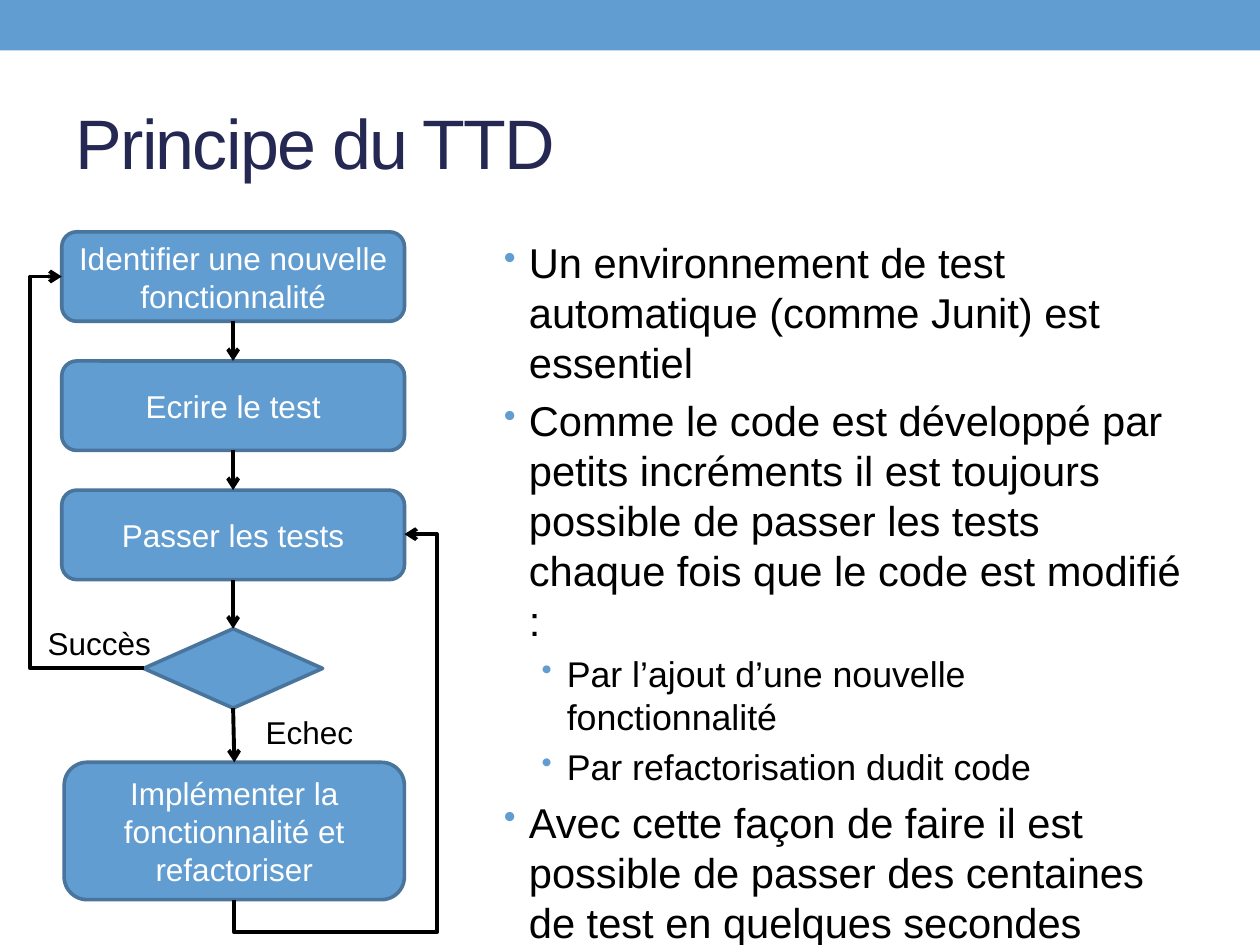
from pptx import Presentation, util as u
from pptx.dml.color import RGBColor
from pptx.enum import shapes as es, text as et
from pptx.oxml.ns import qn
from lxml import etree

BLUE, EDGE, NAVY, BLACK, WHITE = "629DD1", "49749B", "242852", "000000", "FFFFFF"
KIND = es.MSO_SHAPE
TOP, LEFT, BOTTOM, RIGHT = range(4)


def paint(fmt, tone):
    fmt.solid()
    fmt.fore_color.rgb = RGBColor.from_string(tone)


def tag(host, label, /, **attrs):
    return etree.SubElement(host, qn(label), attrs)


class Deck:
    """Draws styled elements on a slide with a grid of 100 columns by 75 rows."""

    font = "Arial"
    cell = 0.1

    def __init__(self):
        self.prs = Presentation()
        self.prs.slide_width, self.prs.slide_height = self.size(100, 75)
        self.slide = self.prs.slides.add_slide(self.prs.slide_layouts[5])
        self.shapes = self.slide.shapes

    def size(self, *cells):
        return [u.Inches(n * self.cell) for n in cells]

    def style(self, para, size, tone):
        for run in para.runs:
            run.font.name = self.font
            run.font.size = u.Pt(size)
            run.font.color.rgb = RGBColor.from_string(tone)

    def title(self, words, *box):
        head = self.shapes.title
        head.left, head.top, head.width, head.height = self.size(*box)
        frame = head.text_frame
        frame.text = words
        frame.vertical_anchor = et.MSO_ANCHOR.MIDDLE
        para = frame.paragraphs[0]
        para.alignment = et.PP_ALIGN.LEFT
        self.style(para, 40, NAVY)
        para.runs[0].font._element.set("spc", "-100")

    def block(self, kind, *box, words="", edge=EDGE):
        shape = self.shapes.add_shape(kind, *self.size(*box))
        shape.shadow.inherit = False
        paint(shape.fill, BLUE)
        if edge:
            paint(shape.line.fill, edge)
            shape.line.width = u.Pt(2.08)
        else:
            shape.line.fill.background()
        if words:
            frame = shape.text_frame
            frame.text = words
            frame.word_wrap = True
            frame.vertical_anchor = et.MSO_ANCHOR.MIDDLE
            frame.paragraphs[0].alignment = et.PP_ALIGN.CENTER
            self.style(frame.paragraphs[0], 18, WHITE)
        return shape

    def frame(self, *box):
        frame = self.shapes.add_textbox(*self.size(*box)).text_frame
        frame.word_wrap = True
        return frame

    def label(self, words, *box):
        frame = self.frame(*box)
        frame.text = words
        self.style(frame.paragraphs[0], 18, BLACK)

    def bullets(self, items, *box):
        frame = self.frame(*box)
        frame.text = "\n".join(words for _, words in items)
        for n, (para, (level, _)) in enumerate(zip(frame.paragraphs, items)):
            size = (23.8, 20.4)[level]
            para.level = level
            props = para._p.get_or_add_pPr()
            props.set("marL", str(u.Inches((0.2, 0.5)[level])))
            props.set("indent", str(u.Inches(-0.2)))
            tag(tag(props, "a:buClr"), "a:srgbClr", val=BLUE)
            tag(props, "a:buSzPct", val="85000")
            tag(props, "a:buChar", char="•")
            if n:
                para.space_before = u.Pt(round(size * 0.2, 1))
            self.style(para, size, BLACK)

    def wire(self, kind, *ends):
        line = self.shapes.add_connector(kind, *self.size(*ends))
        tag(line._element.spPr, "a:effectLst")
        paint(line.line.fill, BLACK)
        line.line.width = u.Pt(2.25)
        tag(line.line._get_or_add_ln(), "a:tailEnd", type="arrow")
        return line

    def arrow(self, start, end):
        line = self.wire(es.MSO_CONNECTOR.STRAIGHT, 0, 0, 1, 1)
        line.begin_connect(start, BOTTOM)
        line.end_connect(end, TOP)

    def elbow(self, start, end, bends, turned=False):
        (x, y), (p, q) = start, end
        if turned:
            mx, my = (x + p) / 2, (y + q) / 2
            dx, dy = abs(y - q) / 2, abs(x - p) / 2
            x, y, p, q = mx + dx, my + dy, mx - dx, my - dy
        line = self.wire(es.MSO_CONNECTOR.ELBOW, x, y, p, q)
        props = line._element.spPr
        if turned:
            props.find(qn("a:xfrm")).set("rot", "5400000")
        geom = props.find(qn("a:prstGeom"))
        geom.set("prst", f"bentConnector{len(bends) + 2}")
        guides = geom.find(qn("a:avLst"))
        if guides is None:
            guides = tag(geom, "a:avLst")
        for n, share in enumerate(bends, 1):
            tag(guides, "a:gd", name=f"adj{n}", fmla=f"val {round(share * 100000)}")


def main():
    deck = Deck()
    deck.block(KIND.RECTANGLE, 0, 0, 100, 4, edge=None)
    deck.title("Principe du TTD", 5, 5.8, 90, 10.8)
    deck.bullets([
        (0, "Un environnement de test automatique (comme Junit) est essentiel"),
        (0, "Comme le code est développé par petits incréments il est toujours "
            "possible de passer les tests chaque fois que le code est modifié :"),
        (1, "Par l’ajout d’une nouvelle fonctionnalité"),
        (1, "Par refactorisation dudit code"),
        (0, "Avec cette façon de faire il est possible de passer des centaines "
            "de test en quelques secondes"),
    ], 39, 18.3, 56, 51.6)

    steps = ["Identifier une nouvelle fonctionnalité", "Ecrire le test", "Passer les tests"]
    flow = [deck.block(KIND.ROUNDED_RECTANGLE, 4.9, 18.4 + n * 10.25, 27.2, 7.1, words=words)
            for n, words in enumerate(steps)]
    flow.append(deck.block(KIND.FLOWCHART_DECISION, 11.4, 49.9, 14.2, 6.3))
    flow.append(deck.block(KIND.ROUNDED_RECTANGLE, 5.1, 60.5, 27, 10.9,
                           words="Implémenter la fonctionnalité et refactoriser"))
    for start, end in zip(flow, flow[1:]):
        deck.arrow(start, end)
    deck.elbow((11.4, 53.05), (4.9, 21.95), [1.385])
    deck.elbow((18.6, 71.4), (32.1, 42.4), [-0.09, 1.19], turned=True)
    deck.label("Succès", 2.8, 49, 14.2, 4)
    deck.label("Echec", 20.1, 56.1, 14.2, 4)
    deck.prs.save("out.pptx")


if __name__ == "__main__":
    main()
